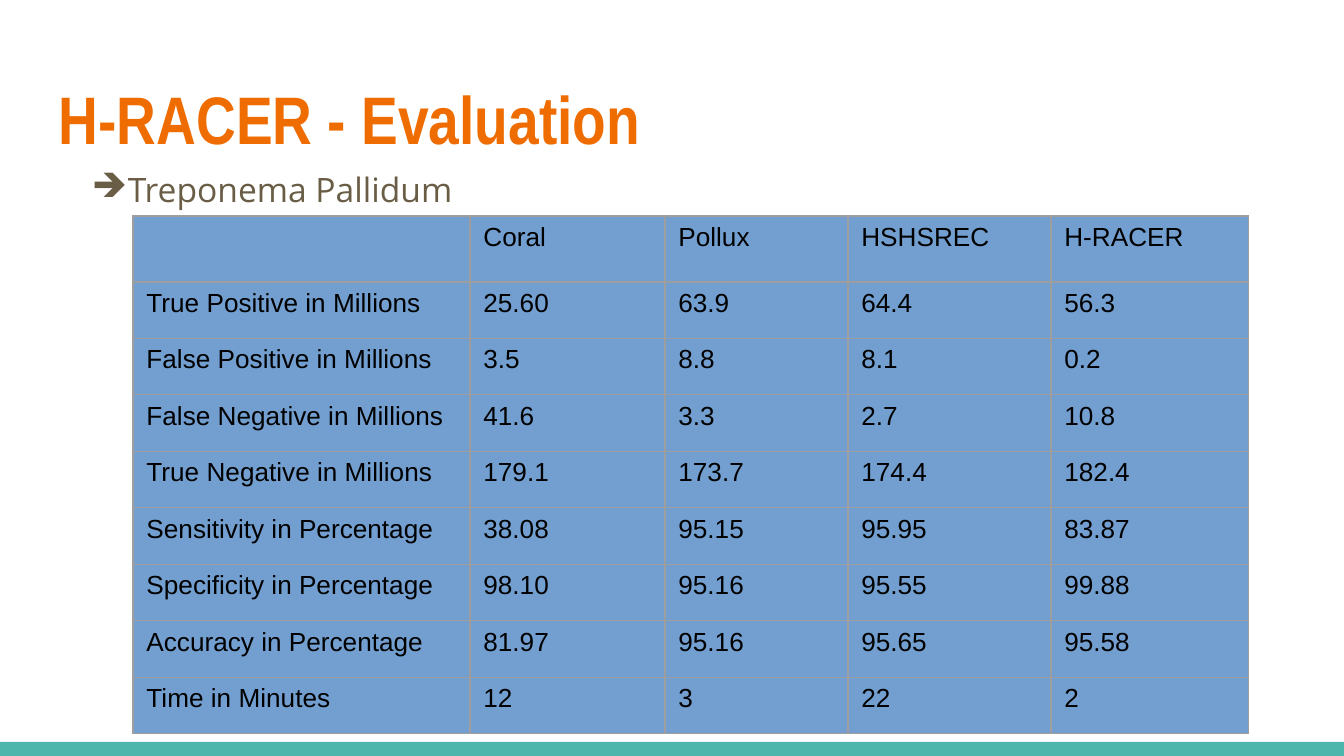
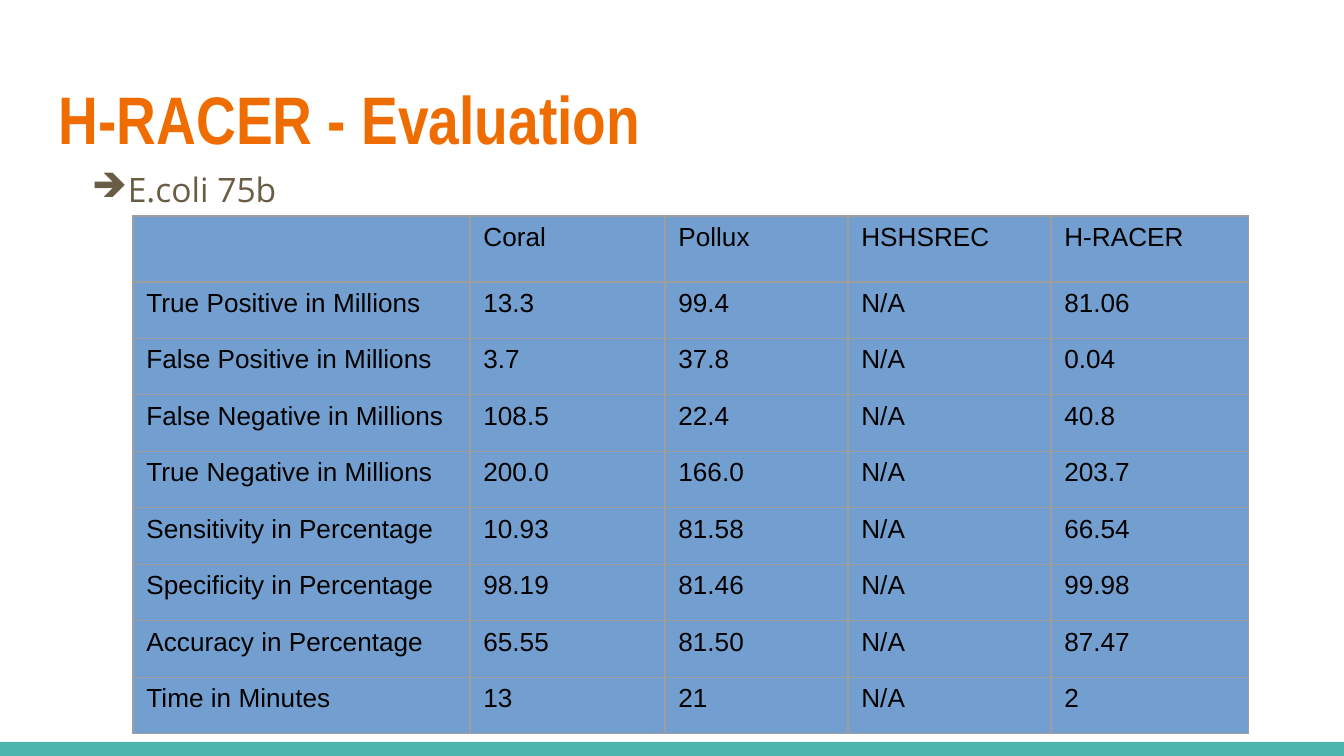
from dataclasses import dataclass

import pptx
import pptx.dml.color
import pptx.enum.shapes
import pptx.enum.text
import pptx.oxml
import pptx.oxml.ns
import pptx.presentation
import pptx.shapes.base
import pptx.slide
import pptx.table
import pptx.text.text
import pptx.util

RGBColor = pptx.dml.color.RGBColor
ORANGE = RGBColor(0xEF, 0x6C, 0x00)
BROWN = RGBColor(0x69, 0x5D, 0x46)
TEAL = RGBColor(0x4D, 0xB6, 0xAC)
BLUE = RGBColor(0x72, 0x9F, 0xCF)
GREY = RGBColor(0x9E, 0x9E, 0x9E)
BLACK = RGBColor(0x00, 0x00, 0x00)

EMU_PER_PX = 914400 / 134.4
TITLE_ONLY_LAYOUT = 5
TEXT_INSET = 13
BULLET_INDENT = 67
BULLET_HANGING = 34
COLUMN_WIDTHS = (337, 195, 183, 203, 198)
HEADER_HEIGHT = 66
METHODS = ("Coral", "Pollux", "HSHSREC", "H-RACER")
METRICS = (
    "True Positive in Millions",
    "False Positive in Millions",
    "False Negative in Millions",
    "True Negative in Millions",
    "Sensitivity in Percentage",
    "Specificity in Percentage",
    "Accuracy in Percentage",
    "Time in Minutes",
)


@dataclass(frozen=True)
class Box:
    left: int
    top: int
    width: int
    height: int

    def emu(self) -> tuple[pptx.util.Emu, ...]:
        return tuple(px(value) for value in (self.left, self.top, self.width, self.height))


@dataclass(frozen=True)
class TextStyle:
    font: str
    size: int
    color: RGBColor
    bold: bool = False


@dataclass(frozen=True)
class Evaluation:
    genome: str
    results: tuple[tuple[str, ...], ...]


SLIDE = Box(0, 0, 1344, 756)
BAND = Box(0, 742, 1344, 14)
TITLE = Box(46, 66, 1252, 103)
BODY = Box(46, 156, 1252, 485)
TABLE = Box(133, 216, sum(COLUMN_WIDTHS), 518)
TITLE_STYLE = TextStyle("Arial Narrow", 36, ORANGE, True)
BODY_STYLE = TextStyle("Open Sans", 18, BROWN)
CELL_STYLE = TextStyle("Arial", 14, BLACK)

EVALUATIONS = (
    Evaluation("Treponema Pallidum", (
        ("25.60", "63.9", "64.4", "56.3"),
        ("3.5", "8.8", "8.1", "0.2"),
        ("41.6", "3.3", "2.7", "10.8"),
        ("179.1", "173.7", "174.4", "182.4"),
        ("38.08", "95.15", "95.95", "83.87"),
        ("98.10", "95.16", "95.55", "99.88"),
        ("81.97", "95.16", "95.65", "95.58"),
        ("12", "3", "22", "2"),
    )),
    Evaluation("E.coli 75b", (
        ("13.3", "99.4", "N/A", "81.06"),
        ("3.7", "37.8", "N/A", "0.04"),
        ("108.5", "22.4", "N/A", "40.8"),
        ("200.0", "166.0", "N/A", "203.7"),
        ("10.93", "81.58", "N/A", "66.54"),
        ("98.19", "81.46", "N/A", "99.98"),
        ("65.55", "81.50", "N/A", "87.47"),
        ("13", "21", "N/A", "2"),
    )),
)


def px(value: float) -> pptx.util.Emu:
    return pptx.util.Emu(round(value * EMU_PER_PX))


def write(frame: pptx.text.text.TextFrame, text: str, style: TextStyle) -> None:
    frame.text = text
    paragraph = frame.paragraphs[0]
    paragraph.alignment = pptx.enum.text.PP_ALIGN.LEFT
    paragraph.font.name = style.font
    paragraph.font.size = pptx.util.Pt(style.size)
    paragraph.font.color.rgb = style.color
    paragraph.font.bold = style.bold


def set_up_frame(
    frame: pptx.text.text.TextFrame, anchor: pptx.enum.text.MSO_ANCHOR
) -> None:
    frame.word_wrap = True
    frame.auto_size = pptx.enum.text.MSO_AUTO_SIZE.NONE
    frame.vertical_anchor = anchor
    frame.margin_left = frame.margin_right = px(TEXT_INSET)
    frame.margin_top = frame.margin_bottom = px(TEXT_INSET)


def add_band(slide: pptx.slide.Slide) -> None:
    band = slide.shapes.add_shape(pptx.enum.shapes.MSO_SHAPE.RECTANGLE, *BAND.emu())
    band.shadow.inherit = False
    band.fill.solid()
    band.fill.fore_color.rgb = TEAL
    band.line.fill.background()


def set_title(slide: pptx.slide.Slide, text: str) -> None:
    title = slide.shapes.title
    title.left, title.top, title.width, title.height = TITLE.emu()
    set_up_frame(title.text_frame, pptx.enum.text.MSO_ANCHOR.MIDDLE)
    write(title.text_frame, text, TITLE_STYLE)


def add_bullet(slide: pptx.slide.Slide, text: str) -> None:
    frame = slide.shapes.add_textbox(*BODY.emu()).text_frame
    set_up_frame(frame, pptx.enum.text.MSO_ANCHOR.TOP)
    write(frame, text, BODY_STYLE)
    paragraph = frame.paragraphs[0]
    paragraph.space_after = pptx.util.Pt(16)
    properties = paragraph._p.get_or_add_pPr()
    properties.set("marL", str(px(BULLET_INDENT)))
    properties.set("indent", str(-px(BULLET_HANGING)))
    namespace = pptx.oxml.ns.nsdecls("a")
    defaults = properties.find(pptx.oxml.ns.qn("a:defRPr"))
    for markup in (
        f'<a:buClr {namespace}><a:srgbClr val="{BROWN}"/></a:buClr>',
        f'<a:buChar {namespace} char="➔"/>',
    ):
        defaults.addprevious(pptx.oxml.parse_xml(markup))


def format_cell(cell: pptx.table._Cell, text: str) -> None:
    properties = cell._tc.get_or_add_tcPr()
    for side in "LRTB":
        properties.append(pptx.oxml.parse_xml(
            f'<a:ln{side} {pptx.oxml.ns.nsdecls("a")} w="{pptx.util.Pt(0.75)}">'
            f'<a:solidFill><a:srgbClr val="{GREY}"/></a:solidFill></a:ln{side}>'
        ))
    cell.fill.solid()
    cell.fill.fore_color.rgb = BLUE
    write(cell.text_frame, text, CELL_STYLE)


def add_results(slide: pptx.slide.Slide, evaluation: Evaluation) -> None:
    rows = [("", *METHODS)]
    rows += [(metric, *values) for metric, values in zip(METRICS, evaluation.results)]
    table = slide.shapes.add_table(len(rows), len(COLUMN_WIDTHS), *TABLE.emu()).table
    table.first_row = False
    table.horz_banding = False
    for column, width in zip(table.columns, COLUMN_WIDTHS):
        column.width = px(width)
    metric_height = (TABLE.height - HEADER_HEIGHT) / len(METRICS)
    for row_index, values in enumerate(rows):
        table.rows[row_index].height = px(metric_height if row_index else HEADER_HEIGHT)
        for column_index, value in enumerate(values):
            format_cell(table.cell(row_index, column_index), value)


def add_evaluation(
    presentation: pptx.presentation.Presentation, evaluation: Evaluation
) -> None:
    slide = presentation.slides.add_slide(presentation.slide_layouts[TITLE_ONLY_LAYOUT])
    add_band(slide)
    set_title(slide, "H-RACER - Evaluation")
    add_bullet(slide, evaluation.genome)
    add_results(slide, evaluation)


def main() -> None:
    presentation = pptx.Presentation()
    presentation.slide_width = px(SLIDE.width)
    presentation.slide_height = px(SLIDE.height)
    for evaluation in EVALUATIONS:
        add_evaluation(presentation, evaluation)
    presentation.save("out.pptx")


if __name__ == "__main__":
    main()
